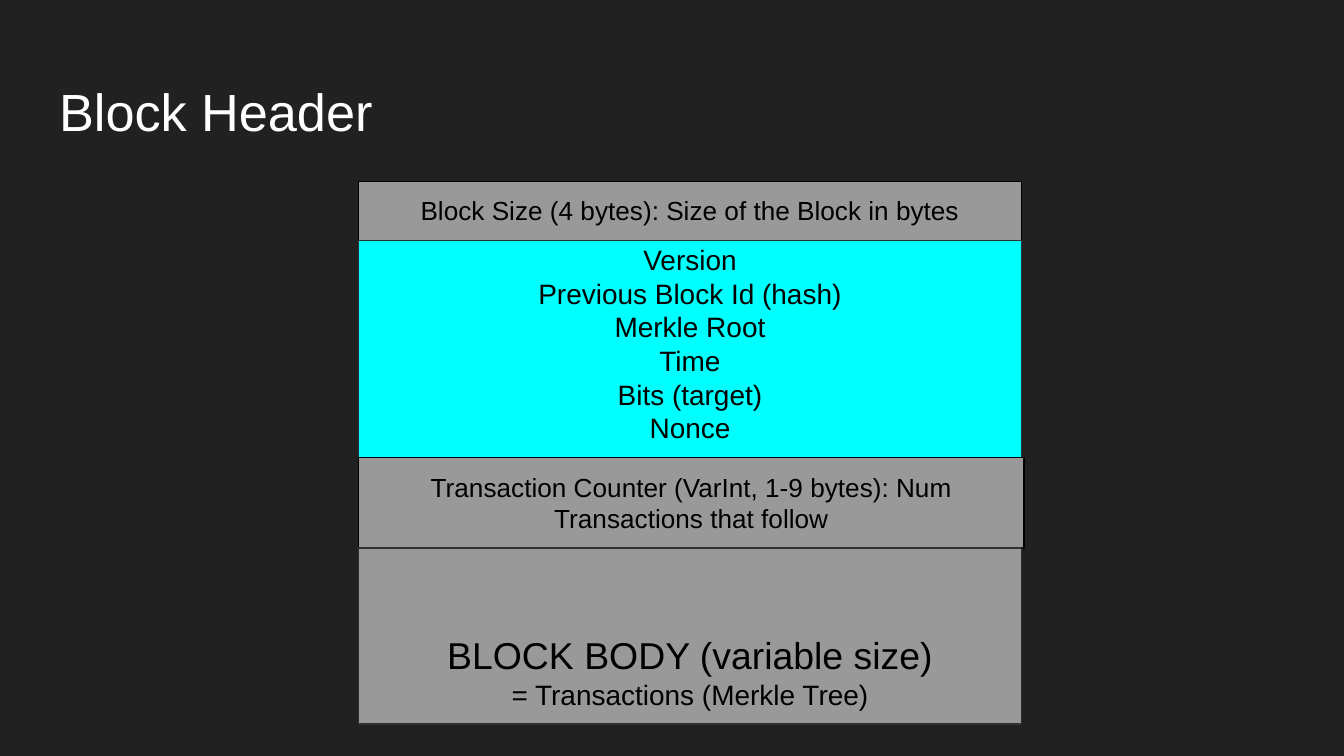
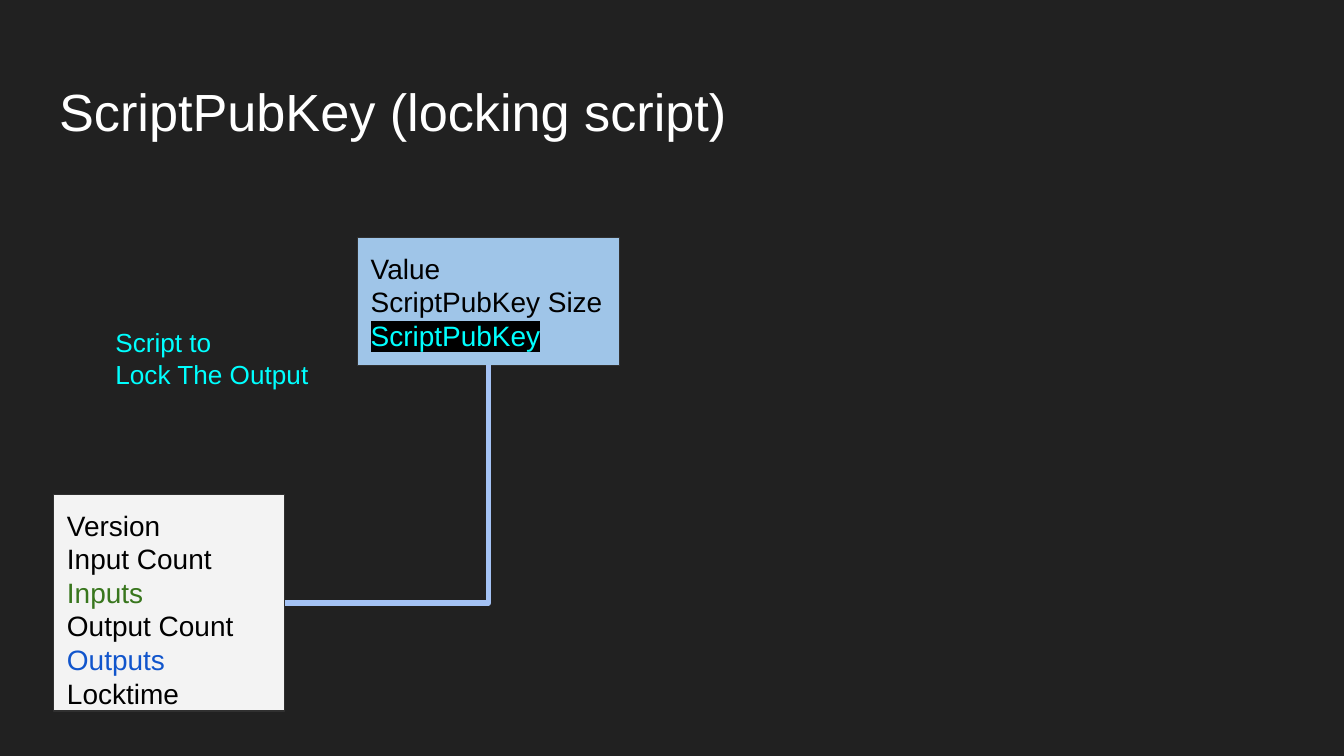
from dataclasses import dataclass
from lxml.etree import SubElement
from pptx import Presentation
from pptx.dml.color import RGBColor as RGB
from pptx.enum.shapes import MSO_CONNECTOR as Link, MSO_SHAPE as Kind
from pptx.enum.text import MSO_ANCHOR as Anchor, MSO_AUTO_SIZE as Fit, PP_ALIGN as Align
from pptx.oxml.ns import qn
from pptx.util import Pt


@dataclass(frozen=True)
class Theme:
    font: str = "Arial"
    back: str = "212121"
    white: str = "FFFFFF"
    black: str = "000000"
    edge: str = "303030"
    gray: str = "999999"
    pale: str = "F3F3F3"
    cyan: str = "00FFFF"
    sky: str = "9FC5E8"
    wire: str = "A4C2F4"
    green: str = "38761D"
    blue: str = "1155CC"
    head: float = 28
    large: float = 20
    list: float = 15
    note: float = 14
    thin: float = 0.75
    thick: float = 3
    inset: float = 7.2


T = Theme()


@dataclass
class Line:
    text: str
    size: float = T.list
    color: str = T.black
    mark: str = ""  # highlight colour


def write(frame, lines, align=Align.LEFT, anchor=Anchor.TOP):
    """Fill a text frame, one paragraph per line."""
    frame.word_wrap = True
    frame.auto_size = Fit.NONE
    frame.vertical_anchor = anchor
    frame.margin_left = frame.margin_right = Pt(T.inset)
    frame.margin_top = frame.margin_bottom = Pt(T.inset)
    for i, line in enumerate(lines):
        para = frame.paragraphs[0] if i == 0 else frame.add_paragraph()
        para.alignment = align
        para.space_before = Pt(0)
        font = para.font
        font.name, font.size = T.font, Pt(line.size)
        font.color.rgb = RGB.from_string(line.color)
        run = para.add_run()
        run.text = line.text
        if line.mark:
            run.font.color.rgb = RGB.from_string(line.color)
            props = run.font.fill._xPr
            light = SubElement(props, qn("a:highlight"))
            SubElement(light, qn("a:srgbClr"), val=line.mark)


def start(deck, title):
    """Add a slide with its title."""
    slide = deck.slides.add_slide(deck.slide_layouts[5])
    head = slide.shapes.title
    head.left, head.top, head.width, head.height = map(Pt, (24.5, 35.3, 671, 45.4))
    write(head.text_frame, [Line(title, T.head, T.white)])
    return slide


def panel(slide, box, fill, lines, edge=T.edge, **style):
    """Add a filled, outlined box of text."""
    shape = slide.shapes.add_shape(Kind.RECTANGLE, *map(Pt, box))
    shape.shadow.inherit = False
    shape.fill.solid()
    shape.fill.fore_color.rgb = RGB.from_string(fill)
    shape.line.color.rgb = RGB.from_string(edge)
    shape.line.width = Pt(T.thin)
    write(shape.text_frame, lines, **style)
    return shape


def label(slide, box, lines):
    text = slide.shapes.add_textbox(*map(Pt, box))
    write(text.text_frame, lines)


def elbow(slide, first, last):
    """Join the right side of one box to the bottom of another."""
    wire = slide.shapes.add_connector(
        Link.ELBOW, first.left + first.width, first.top + first.height // 2,
        last.left + last.width // 2, last.top + last.height)
    wire.begin_connect(first, 3)
    wire.end_connect(last, 2)
    wire.line.color.rgb = RGB.from_string(T.wire)
    wire.line.width = Pt(T.thick)
    props = wire._element.spPr
    props.find(qn("a:prstGeom")).set("prst", "bentConnector2")
    SubElement(props, qn("a:effectLst"))


def stack(slide, left, top, rows):
    """Pile up panels, each row directly under the last."""
    for width, height, fill, edge, anchor, lines in rows:
        panel(slide, (left, top, width, height), fill, lines, edge,
              align=Align.CENTER, anchor=anchor)
        top += height


def block(deck):
    """Layout of a block, from its size down to its body."""
    slide = start(deck, "Block Header")
    fields = ["Version", "Previous Block Id (hash)", "Merkle Root", "Time",
              "Bits (target)", "Nonce"]
    stack(slide, 192.2, 97.2, [
        (355, 31.7, T.gray, T.black, Anchor.TOP,
         [Line("Block Size (4 bytes): Size of the Block in bytes", T.note)]),
        (355, 116.3, T.cyan, T.edge, Anchor.BOTTOM, [Line(f) for f in fields]),
        (356.4, 48.4, T.gray, T.black, Anchor.TOP,
         [Line("Transaction Counter (VarInt, 1-9 bytes): Num Transactions that follow",
               T.note)]),
        (355, 94.3, T.gray, T.edge, Anchor.BOTTOM,
         [Line("BLOCK BODY (variable size)", T.large),
          Line("= Transactions (Merkle Tree)")]),
    ])


def script(deck):
    """Locking script, traced from a transaction to its output."""
    slide = start(deck, "ScriptPubKey (locking script)")
    trade = panel(slide, (28.8, 265, 123.8, 115.9), T.pale, [
        Line("Version"), Line("Input Count"), Line("Inputs", color=T.green),
        Line("Output Count"), Line("Outputs", color=T.blue), Line("Locktime")])
    output = panel(slide, (191.5, 127.4, 140.4, 68.4), T.sky, [
        Line("Value"), Line("ScriptPubKey Size"),
        Line("ScriptPubKey", color=T.cyan, mark=T.black)])
    elbow(slide, trade, output)
    label(slide, (54.7, 167.8, 123.8, 45.4),
          [Line(t, T.note, T.cyan) for t in ("Script to", "Lock The Output")])


deck = Presentation()
deck.slide_width, deck.slide_height = Pt(720), Pt(405)

# Shared background
back = deck.slide_master.background.fill
back.solid()
back.fore_color.rgb = RGB.from_string(T.back)

block(deck)
script(deck)
deck.save("out.pptx")
